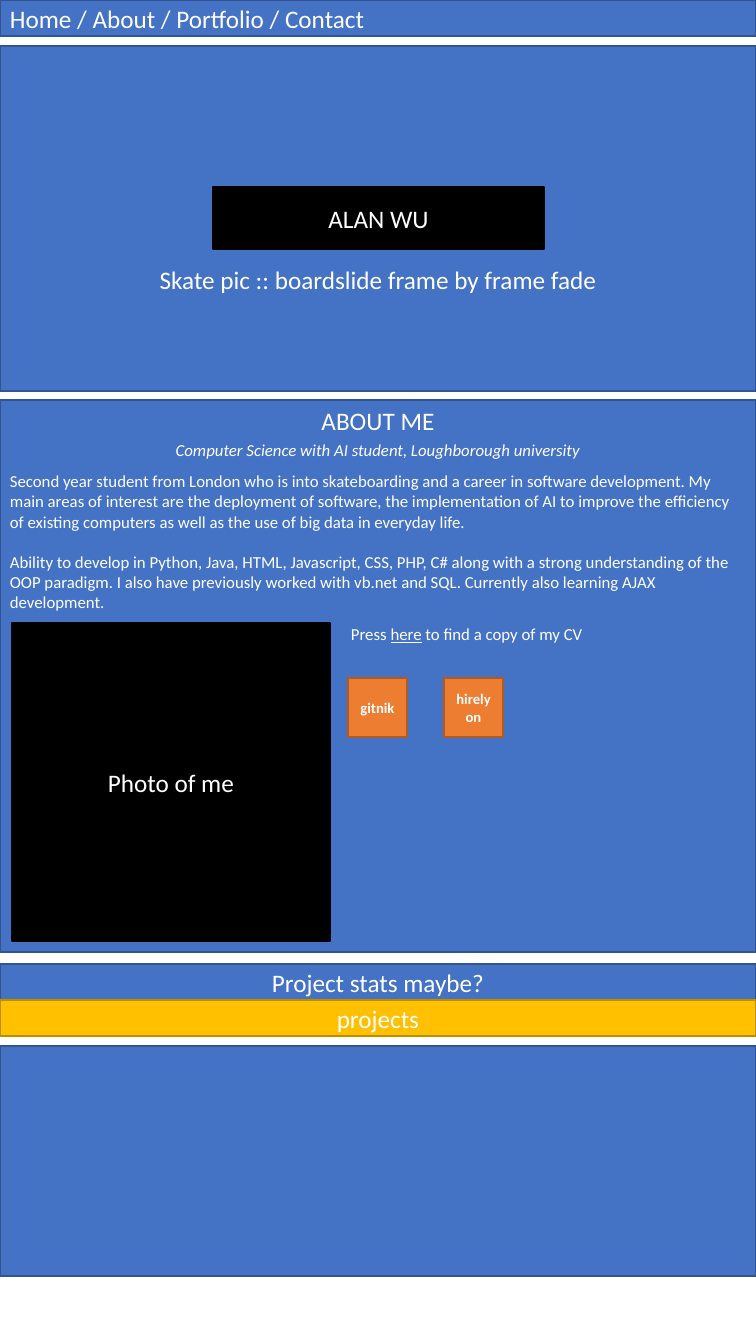
import pptx
import pptx.dml.color
import pptx.enum.shapes
import pptx.enum.text
import pptx.util

NAVIGATION = ["Home", "About", "Portfolio", "Contact"]
BIOGRAPHY = [
    "Second year student from London who is into skateboarding and a career in software "
    "development. My main areas of interest are the deployment of software, the implementation "
    "of AI to improve the efficiency of existing computers as well as the use of big data in "
    "everyday life.",
    "Ability to develop in Python, Java, HTML, Javascript, CSS, PHP, C# along with a strong "
    "understanding of the OOP paradigm. I also have previously worked with vb.net and SQL. "
    "Currently also learning AJAX development.",
]
CV_LINE = [("Press ", False), ("here", True), (" to find a copy of my CV", False)]
PROFILES = ["gitnik", "hirelyon"]

SECTIONS = [
    (0, 36, "blue", [" / ".join(NAVIGATION)], {"align": "LEFT"}),
    (46, 345, "blue", ["Skate pic :: boardslide frame by frame fade"], {"top_inset": 127}),
    (400, 552, "blue", [], {}),
    (964, 36, "blue", ["Project stats maybe?"], {}),
    (1000, 36, "gold", ["projects"], {}),
    (1046, 230, "blue", [], {}),
]
PANELS = [
    ((213, 187, 331, 62), "ALAN WU"),
    ((12, 623, 318, 318), "Photo of me"),
]

THEME = {
    "font": "Calibri",
    "text": "FFFFFF",
    "blue": ("4472C4", "325491"),
    "gold": ("FFC000", "BD8E00"),
    "orange": ("ED7D31", "AF5C24"),
    "black": ("000000", "000000"),
    "heading": 18,
    "body": 12,
    "button": 10.5,
    "paragraph_gap": 14.6,
}

PAGE_WIDTH, PAGE_HEIGHT = 756, 1344
SCALE = pptx.util.Inches(7.5) / PAGE_WIDTH
BUTTON_LEFT, BUTTON_TOP, BUTTON_SIZE, BUTTON_STEP = 348, 678, 59, 96


def emu(pixels):
    return pptx.util.Emu(round(pixels * SCALE))


def colour(name):
    return pptx.dml.color.RGBColor.from_string(name)


def write(box, paragraphs, size="heading", align="CENTER", anchor="MIDDLE",
          bold=False, italic=False, top_inset=5):
    frame = box.text_frame
    frame.word_wrap = True
    frame.margin_top = emu(top_inset)
    frame.vertical_anchor = getattr(pptx.enum.text.MSO_ANCHOR, anchor)
    for index, content in enumerate(paragraphs):
        para = frame.add_paragraph() if index else frame.paragraphs[0]
        para.alignment = getattr(pptx.enum.text.PP_ALIGN, align)
        if index:
            para.space_before = pptx.util.Pt(THEME["paragraph_gap"])
        pieces = [(content, False)] if isinstance(content, str) else content
        for words, underlined in pieces:
            span = para.add_run()
            span.text = words
            span.font.name = THEME["font"]
            span.font.size = pptx.util.Pt(THEME[size])
            span.font.bold = bold
            span.font.italic = italic
            span.font.underline = underlined
            span.font.color.rgb = colour(THEME["text"])


def add_block(page, place, style, paragraphs, **text_format):
    box = page.shapes.add_shape(pptx.enum.shapes.MSO_SHAPE.RECTANGLE, *map(emu, place))
    fill, line = THEME[style]
    box.shadow.inherit = False
    box.fill.solid()
    box.fill.fore_color.rgb = colour(fill)
    box.line.color.rgb = colour(line)
    box.line.width = pptx.util.Pt(1)
    write(box, paragraphs, **text_format)


def add_text(page, place, paragraphs, **text_format):
    box = page.shapes.add_textbox(*map(emu, place))
    write(box, paragraphs, anchor="TOP", **text_format)


deck = pptx.Presentation()
deck.slide_width, deck.slide_height = emu(PAGE_WIDTH), emu(PAGE_HEIGHT)
page = deck.slides.add_slide(deck.slide_layouts[6])

for top, height, style, paragraphs, text_format in SECTIONS:
    add_block(page, (0, top, PAGE_WIDTH, height), style, paragraphs, **text_format)

for place, label in PANELS:
    add_block(page, place, "black", [label])

add_text(page, (222, 400, 312, 40), ["ABOUT ME"])
add_text(page, (55, 435, 646, 30),
         ["Computer Science with AI student, Loughborough university"],
         size="body", italic=True)
add_text(page, (0, 466, PAGE_WIDTH, 152), BIOGRAPHY, size="body", align="LEFT")
add_text(page, (341, 619, 349, 30), [CV_LINE], size="body", align="LEFT")

for index, profile in enumerate(PROFILES):
    place = (BUTTON_LEFT + index * BUTTON_STEP, BUTTON_TOP, BUTTON_SIZE, BUTTON_SIZE)
    add_block(page, place, "orange", [profile], size="button", bold=True)

deck.save("out.pptx")
